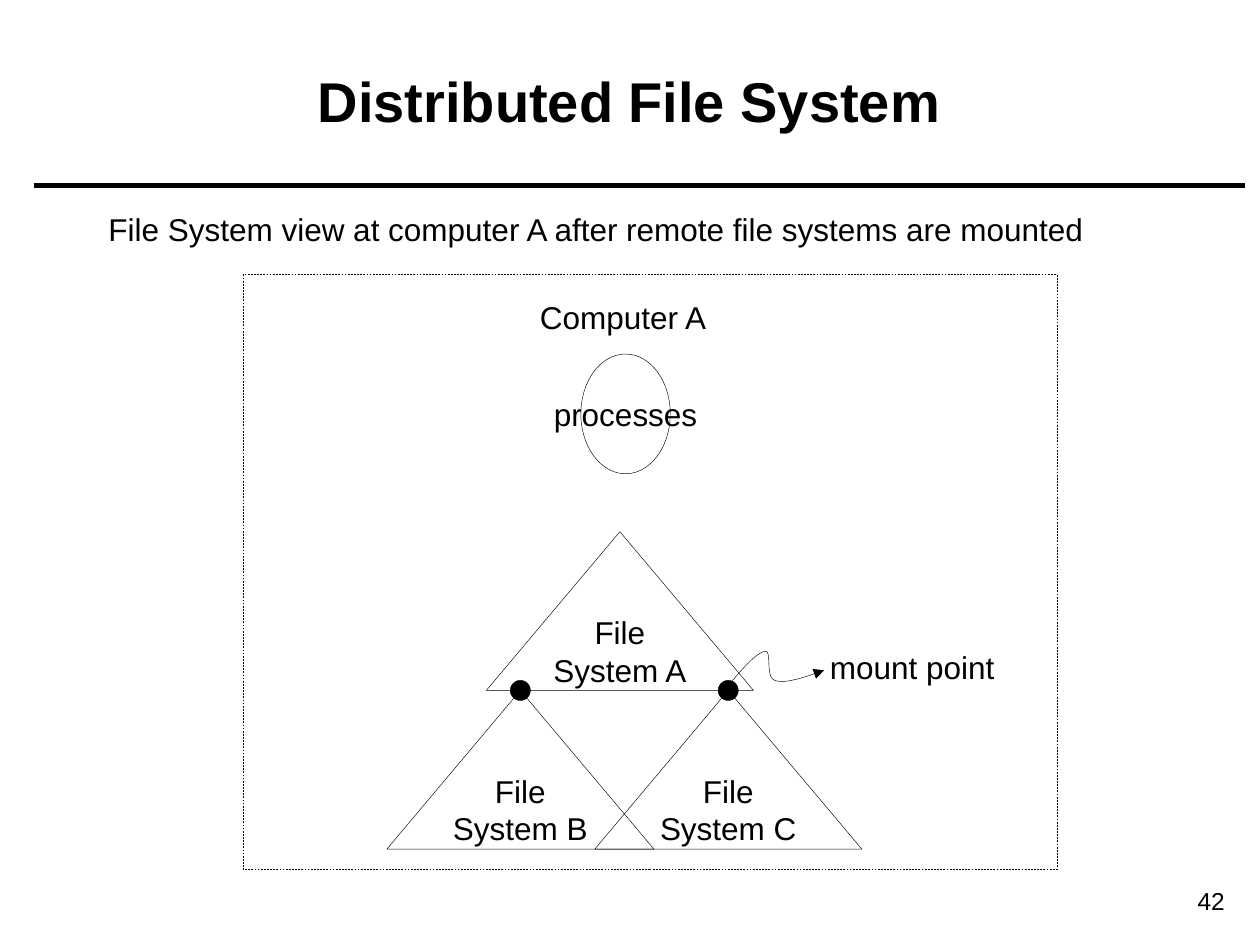
from dataclasses import dataclass

from lxml import etree
from pptx import Presentation
from pptx.dml.color import RGBColor
from pptx.enum.dml import MSO_LINE
from pptx.enum.shapes import MSO_CONNECTOR, MSO_SHAPE
from pptx.enum.text import MSO_ANCHOR, MSO_AUTO_SIZE, PP_ALIGN
from pptx.oxml.ns import qn
from pptx.util import Inches, Pt

CENTER, RIGHT = PP_ALIGN.CENTER, PP_ALIGN.RIGHT
TOP, MIDDLE = MSO_ANCHOR.TOP, MSO_ANCHOR.MIDDLE
OVAL, RECT = MSO_SHAPE.OVAL, MSO_SHAPE.RECTANGLE
TRIANGLE = MSO_SHAPE.ISOSCELES_TRIANGLE
DASH, STRAIGHT = MSO_LINE.DASH, MSO_CONNECTOR.STRAIGHT
NO_FIT = MSO_AUTO_SIZE.NONE


@dataclass(frozen=True)
class Theme:
    font: str = "Arial"
    ink: RGBColor = RGBColor(0, 0, 0)
    title: int = 32
    body: int = 18
    page: int = 14
    thin: float = 0.25
    thick: float = 3


THEME = Theme()


def write(shape, text, size=THEME.body, bold=False, align=CENTER,
          anchor=MIDDLE, wrap=False):
    """Fill a shape with one paragraph per line of text."""
    frame = shape.text_frame
    frame.word_wrap = wrap
    frame.auto_size = NO_FIT
    frame.vertical_anchor = anchor
    for i, line in enumerate(text.split("\n")):
        para = frame.add_paragraph() if i else frame.paragraphs[0]
        para.alignment = align
        run = para.add_run()
        run.text = line
        font = run.font
        font.name, font.size, font.bold = THEME.font, Pt(size), bold
        font.color.rgb = THEME.ink


def label(slide, box, text, **style):
    shape = slide.shapes.add_textbox(*map(Inches, box))
    write(shape, text, **style)


def outline(shape, width=THEME.thin):
    shape.line.color.rgb = THEME.ink
    shape.line.width = Pt(width)


def figure(slide, kind, box, text="", solid=False, dash=None):
    """Draw an outlined preset shape, hollow unless solid."""
    shape = slide.shapes.add_shape(kind, *map(Inches, box))
    shape.shadow.inherit = False
    if solid:
        shape.fill.solid()
        shape.fill.fore_color.rgb = THEME.ink
    else:
        shape.fill.background()
    outline(shape)
    if dash:
        shape.line.dash_style = dash
    if text:
        write(shape, text)


def rule(slide, x1, x2, y):
    line = slide.shapes.add_connector(
        STRAIGHT, Inches(x1), Inches(y), Inches(x2), Inches(y))
    outline(line, THEME.thick)
    etree.SubElement(line._element.spPr, qn("a:effectLst"))


def bezier(start, ctrl1, ctrl2, end, steps=12):
    """List the points of a cubic curve after its start."""
    points = []
    for i in range(1, steps + 1):
        t = i / steps
        s = 1 - t
        points.append(tuple(
            s**3 * a + 3 * s * s * t * b + 3 * s * t * t * c + t**3 * d
            for a, b, c, d in zip(start, ctrl1, ctrl2, end)))
    return points


def arrow(slide, start, curves):
    """Draw a curved arrow through a chain of cubic curves."""
    points = [start]
    for curve in curves:
        points += bezier(points[-1], *curve)
    # Whole-number units keep the fine steps of the curve
    first, *rest = [(Inches(x), Inches(y)) for x, y in points]
    pen = slide.shapes.build_freeform(*first)
    pen.add_line_segments(rest, close=False)
    shape = pen.convert_to_shape()
    shape.shadow.inherit = False
    shape.fill.background()
    outline(shape)
    etree.SubElement(shape.line._get_or_add_ln(), qn("a:tailEnd"),
                     type="triangle")


def main():
    prs = Presentation()
    prs.slide_width, prs.slide_height = Inches(10), Inches(7.5)
    slide = prs.slides.add_slide(prs.slide_layouts[6])

    # Heading and page number
    rule(slide, 0.27, 9.88, 1.47)
    label(slide, (8.78, 6.98, 1.04, 0.34), "42", size=THEME.page,
          align=RIGHT, anchor=TOP, wrap=True)
    label(slide, (0.35, 0.17, 9.29, 1.25), "Distributed File System",
          size=THEME.title, bold=True, wrap=True)

    # Computer and its processes
    figure(slide, OVAL, (4.61, 2.81, 0.71, 0.95), "processes")
    label(slide, (4.18, 2.32, 1.53, 0.4), "Computer A", anchor=TOP)

    # File system trees
    wide, high, base = 2.12, 1.26, 5.48
    trees = (("A", 3.86, base - high), ("C", 4.72, base), ("B", 3.07, base))
    for name, x, y in trees:
        figure(slide, TRIANGLE, (x, y, wide, high), f"File\nSystem {name}")

    # Mount points
    dot = 0.16
    for x in (4.13, 5.78):
        figure(slide, OVAL, (x - dot / 2, base - dot / 2, dot, dot),
               solid=True)
    arrow(slide, (5.75, base), (
        ((5.87, 5.33), (6, 5.18), (6.07, 5.17)),
        ((6.13, 5.15), (6.07, 5.38), (6.15, 5.4)),
        ((6.22, 5.43), (6.38, 5.38), (6.54, 5.32))))
    label(slide, (6.49, 5.09, 1.5, 0.4), "mount point", anchor=TOP)

    # Caption and frame
    label(slide, (0.75, 1.62, 7.96, 0.4),
          "File System view at computer A after remote file systems "
          "are mounted", anchor=TOP)
    figure(slide, RECT, (1.93, 2.18, 6.46, 4.72), dash=DASH)

    prs.save("out.pptx")


if __name__ == "__main__":
    main()
